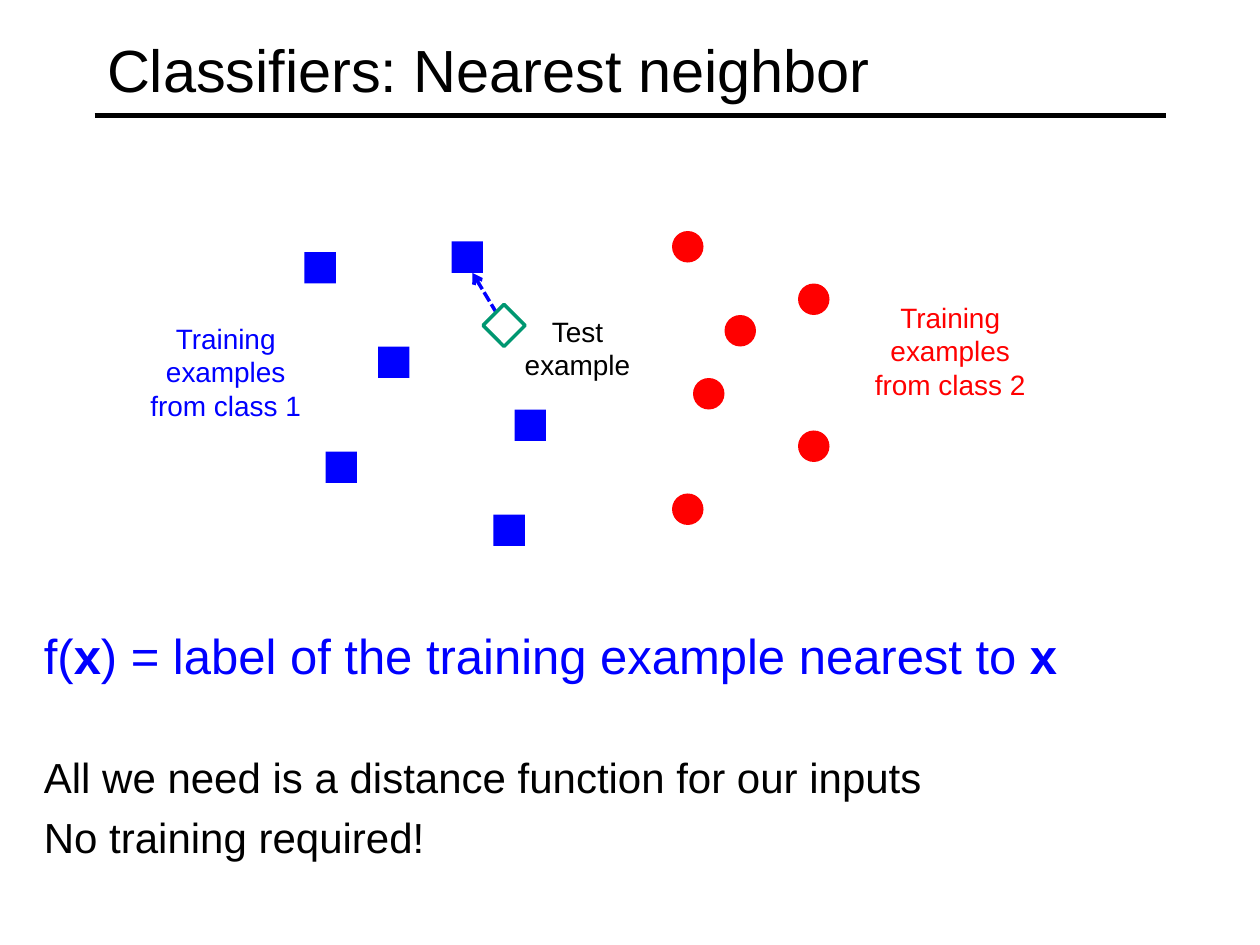
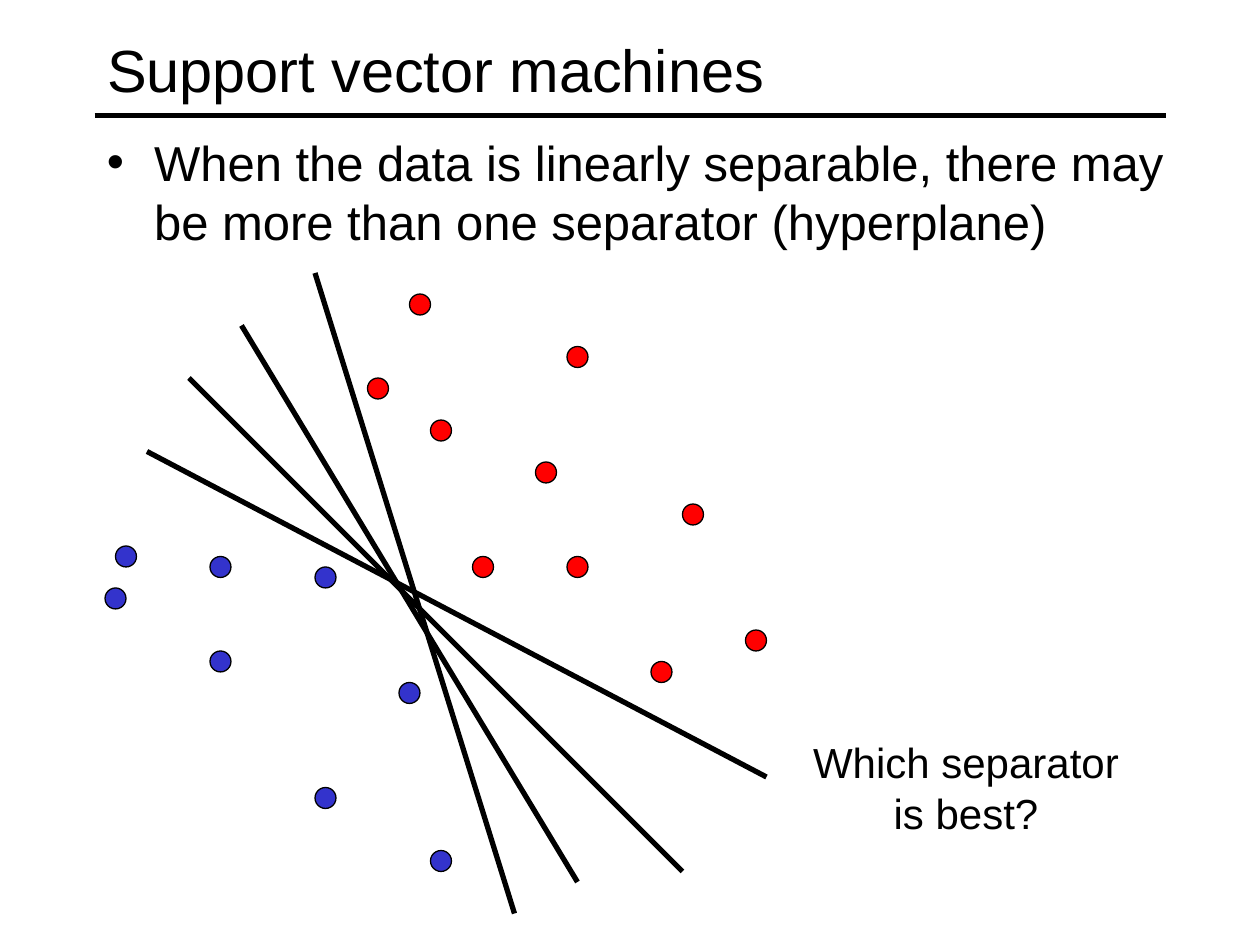
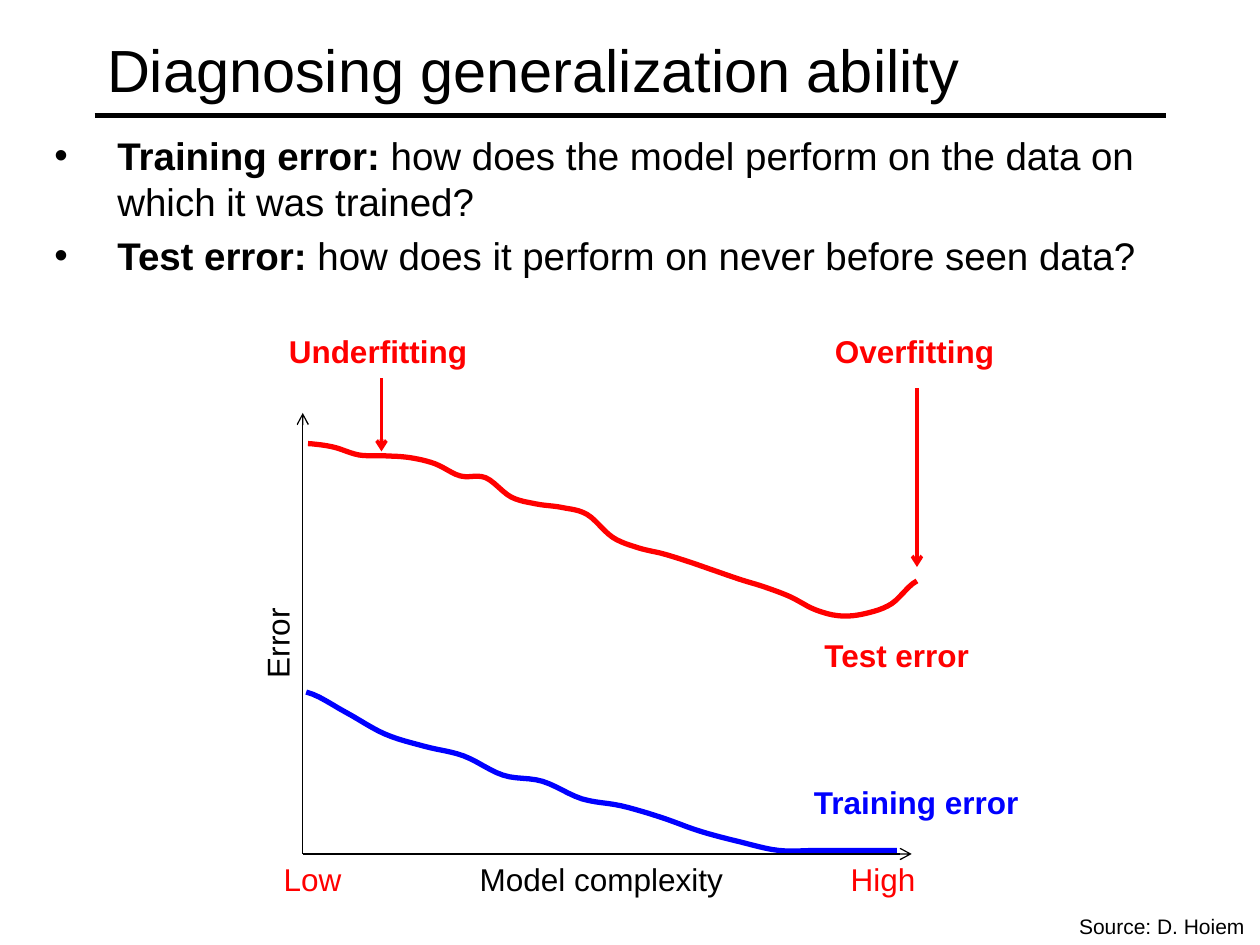
from lxml.etree import SubElement
from pptx import Presentation
from pptx.dml.color import RGBColor
from pptx.enum.dml import MSO_LINE
from pptx.enum.shapes import MSO_CONNECTOR, MSO_SHAPE
from pptx.enum.text import MSO_ANCHOR, MSO_AUTO_SIZE, PP_ALIGN
from pptx.oxml.ns import qn
from pptx.util import Pt

BLACK = RGBColor(0, 0, 0)
WHITE = RGBColor(255, 255, 255)
BLUE = RGBColor(0, 0, 255)
RED = RGBColor(255, 0, 0)
INDIGO = RGBColor(0x33, 0x33, 0xCC)
GREEN = RGBColor(0, 0x97, 0x71)
FONT = "Arial"

SLIDE_W, SLIDE_H = 720, 540
TITLE_LEFT, TITLE_TOP, TITLE_W, TITLE_H = 54, 6, 612, 66
RULE_Y = 66
GRID = 6

NEIGHBOR_BODY = [
    dict(runs=[("f(", False), ("x", True),
               (") = label of the training example nearest to ", False), ("x", True)],
         size=28, color=BLUE),
    dict(runs=[("All we need is a distance function for our inputs", False)],
         size=24, before=38.5),
    dict(runs=[("No training required!", False)], size=24, before=5),
]
CLASS_1_CELLS = [(29, 24), (36, 33), (43, 23), (31, 43), (49, 39), (47, 49)]
CLASS_2_CELLS = [(76, 27), (66, 36), (76, 41), (64, 22), (69, 30), (64, 47)]
TEST_CELL = (46, 29)
NEAREST_ARROW_CELLS = (48, 31), (45, 26)
NEIGHBOR_LABELS = [
    ("Test example", (288, 176, 84, 46), BLACK),
    ("Training examples from class 1", (78, 180, 102, 65.5), BLUE),
    ("Training examples from class 2", (492, 168, 102, 65.5), RED),
]

SVM_BODY = [
    dict(runs=[("When the data is linearly separable, there may be more than one "
                "separator (hyperplane)", False)], size=28, indent=27),
]
NEGATIVE_CELLS = [(11, 52), (20, 53), (20, 62), (10, 56), (30, 54), (38, 65), (30, 75), (41, 81)]
POSITIVE_CELLS = [(41, 40), (51, 44), (54, 53), (45, 53), (35, 36), (62, 63), (65, 48),
                  (54, 33), (71, 60), (39, 28)]
SEPARATOR_CELLS = [((18, 36), (65, 83)), ((23, 31), (55, 84)),
                   ((30, 26), (49, 87)), ((14, 43), (73, 74))]
QUESTION = ["Which separator", "is best?"]

ERROR_BODY = [
    dict(runs=[("Training error: ", True),
               ("how does the model perform on the data on which it was trained?", False)],
         size=22, indent=36),
    dict(runs=[("Test error: ", True),
               ("how does it perform on never before seen data?", False)],
         size=22, indent=36, before=4.5),
]
ORIGIN_X, ORIGIN_Y = 173, 488
COMPLEXITY_LENGTH, ERROR_LENGTH = 348, 252
CURVES = [
    dict(first=2, last=339.5, color=BLUE,
         errors=[92.5, 81, 68.5, 61.5, 56, 45, 41.5, 31.5, 27.5, 21, 13, 7, 2, 2, 2, 2]),
    dict(first=3, last=351, color=RED,
         errors=[234.5, 232.5, 228, 227.5, 226.5, 223, 216, 215, 204, 200, 198, 194, 181,
                 175, 171.5, 167, 162, 157, 152.5, 147, 139.5, 136, 137.5, 143, 156]),
]
CURVE_STEPS = 6
FITTING_ARROWS = [((218, 216), (218, 258)), ((524, 222), (524, 324))]
CHART_LABELS = [
    ("Training error", (458, 444, 132.5), BLUE, True),
    ("Test error", (464, 360, 98), RED, True),
    ("Underfitting", (158, 186, 117), RED, True),
    ("Overfitting", (470, 186, 106), RED, True),
    ("Model complexity", (267, ORIGIN_Y, 155), BLACK, False),
    ("High", (479, ORIGIN_Y, 52), RED, False),
    ("Low", (155, ORIGIN_Y, 49), RED, False),
]
CHART_LABEL_H = 29


def points(*values):
    return [Pt(v) for v in values]


def on_grid(cell):
    return tuple(GRID * n for n in cell)


def smooth(values, steps):
    padded = [values[0], *values, values[-1]]
    result = []
    for a, b, c, d in zip(padded, padded[1:], padded[2:], padded[3:]):
        for i in range(steps):
            t = i / steps
            result.append(b + t * (c - a) / 2
                          + t ** 2 * (2 * a - 5 * b + 4 * c - d) / 2
                          + t ** 3 * (3 * b - a - 3 * c + d) / 2)
    return result + [values[-1]]


def fill_text(tf, paragraphs):
    for i, para in enumerate(paragraphs):
        p = tf.paragraphs[0] if i == 0 else tf.add_paragraph()
        p.alignment = para.get("align", PP_ALIGN.LEFT)
        if "indent" in para:
            pPr = p._p.get_or_add_pPr()
            pPr.set("marL", str(Pt(para["indent"])))
            pPr.set("indent", str(-Pt(para["indent"])))
            SubElement(pPr, qn("a:buFont")).set("typeface", FONT)
            SubElement(pPr, qn("a:buChar")).set("char", "•")
        if "before" in para:
            p.space_before = Pt(para["before"])
        for text, bold in para["runs"]:
            r = p.add_run()
            r.text = text
            r.font.color.rgb = para.get("color", BLACK)
            for name, value in dict(name=FONT, size=Pt(para["size"]), bold=bold).items():
                setattr(r.font, name, value)


def add_text(s, box, paragraphs, wrap=True, fit=MSO_AUTO_SIZE.NONE):
    sp = s.shapes.add_textbox(*points(*box))
    sp.text_frame.word_wrap = wrap
    sp.text_frame.auto_size = fit
    fill_text(sp.text_frame, paragraphs)
    return sp


def add_label(s, lines, box, size, color=BLACK, bold=False, align=PP_ALIGN.LEFT, wrap=False):
    paragraphs = [dict(runs=[(line, bold)], size=size, color=color, align=align)
                  for line in lines]
    return add_text(s, box, paragraphs, wrap, MSO_AUTO_SIZE.SHAPE_TO_FIT_TEXT)


def add_line(s, start, end, color=BLACK, width=3, arrow=False, dash=None):
    cn = s.shapes.add_connector(MSO_CONNECTOR.STRAIGHT, *points(*start, *end))
    cn.line.color.rgb = color
    cn.line.width = Pt(width)
    if dash:
        cn.line.dash_style = dash
    spPr = cn._element.spPr
    if arrow:
        SubElement(spPr.find(qn("a:ln")), qn("a:tailEnd")).set("type", "arrow")
    SubElement(spPr, qn("a:effectLst"))


def add_markers(s, kind, cells, size, fill, line=None, width=0.75):
    for cell in cells:
        sp = s.shapes.add_shape(kind, *points(*on_grid(cell), size, size))
        sp.shadow.inherit = False
        sp.fill.solid()
        sp.fill.fore_color.rgb = fill
        if line is None:
            sp.line.fill.background()
        else:
            sp.line.color.rgb = line
            sp.line.width = Pt(width)


def add_curve(s, first, last, errors, color):
    heights = smooth(errors, CURVE_STEPS)
    step = (last - first) / (len(heights) - 1)
    start, *rest = [points(ORIGIN_X + first + i * step, ORIGIN_Y - height)
                    for i, height in enumerate(heights)]
    builder = s.shapes.build_freeform(*start)
    builder.add_line_segments(rest, close=False)
    sp = builder.convert_to_shape()
    sp.shadow.inherit = False
    sp.fill.background()
    sp.line.color.rgb = color
    sp.line.width = Pt(3)


def add_slide(prs, title, body, box):
    s = prs.slides.add_slide(prs.slide_layouts[5])
    add_line(s, (TITLE_LEFT, RULE_Y), (TITLE_LEFT + TITLE_W, RULE_Y))
    place = dict(left=TITLE_LEFT, top=TITLE_TOP, width=TITLE_W, height=TITLE_H)
    for name, value in place.items():
        setattr(s.shapes.title, name, Pt(value))
    tf = s.shapes.title.text_frame
    tf.auto_size = MSO_AUTO_SIZE.NONE
    tf.vertical_anchor = MSO_ANCHOR.MIDDLE
    fill_text(tf, [dict(runs=[(title, False)], size=34)])
    add_text(s, box, body)
    return s


def nearest_neighbor(prs):
    s = add_slide(prs, "Classifiers: Nearest neighbor", NEIGHBOR_BODY, (18, 354, 684, 104.5))
    add_markers(s, MSO_SHAPE.RECTANGLE, CLASS_1_CELLS, 18, BLUE)
    add_markers(s, MSO_SHAPE.OVAL, CLASS_2_CELLS, 18, RED)
    for text, box, color in NEIGHBOR_LABELS:
        add_label(s, [text], box, 16, color, align=PP_ALIGN.CENTER, wrap=True)
    start, end = map(on_grid, NEAREST_ARROW_CELLS)
    add_line(s, start, end, BLUE, 2, arrow=True, dash=MSO_LINE.SQUARE_DOT)
    add_markers(s, MSO_SHAPE.DIAMOND, [TEST_CELL], 24, WHITE, GREEN, 2)


def support_vectors(prs):
    s = add_slide(prs, "Support vector machines", SVM_BODY, (54, 72, 648, 414))
    add_markers(s, MSO_SHAPE.OVAL, NEGATIVE_CELLS, 12, INDIGO, BLACK)
    add_markers(s, MSO_SHAPE.OVAL, POSITIVE_CELLS, 12, RED, BLACK)
    for start, end in SEPARATOR_CELLS:
        add_line(s, on_grid(start), on_grid(end))
    add_label(s, QUESTION, (456.5, 417.5, 191, 65.5), 24, align=PP_ALIGN.CENTER)


def generalization(prs):
    s = add_slide(prs, "Diagnosing generalization ability", ERROR_BODY, (24, 72, 666, 414))
    for curve in CURVES:
        add_curve(s, **curve)
    for start, end in FITTING_ARROWS:
        add_line(s, start, end, RED, 2, arrow=True)
    origin = (ORIGIN_X, ORIGIN_Y)
    for axis_end in ((ORIGIN_X, ORIGIN_Y - ERROR_LENGTH), (ORIGIN_X + COMPLEXITY_LENGTH, ORIGIN_Y)):
        add_line(s, origin, axis_end, width=0.75, arrow=True)
    for text, place, color, bold in CHART_LABELS:
        add_label(s, [text], (*place, CHART_LABEL_H), 18, color, bold)
    add_label(s, ["Error"], (131, 352.5, 55, CHART_LABEL_H), 18).rotation = 270
    add_label(s, ["Source: D. Hoiem"], (609.5, 518.5, 110, 22), 12)


def main():
    prs = Presentation()
    prs.slide_width, prs.slide_height = points(SLIDE_W, SLIDE_H)
    nearest_neighbor(prs)
    support_vectors(prs)
    generalization(prs)
    prs.save("out.pptx")


if __name__ == "__main__":
    main()
